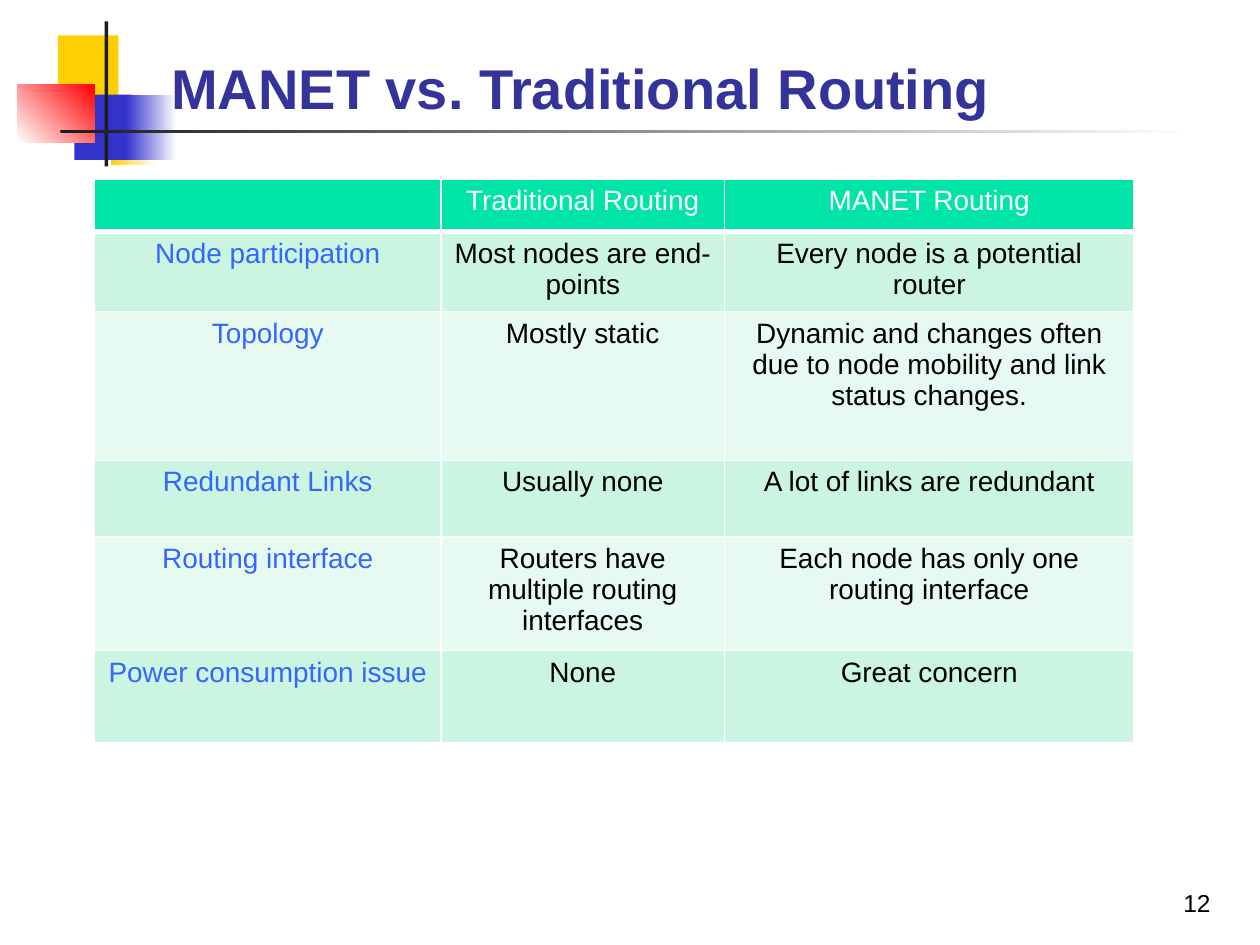
from lxml.etree import SubElement
from pptx import Presentation
from pptx.dml.color import RGBColor
from pptx.enum.shapes import MSO_SHAPE
from pptx.enum.text import MSO_ANCHOR, PP_ALIGN
from pptx.oxml.ns import qn
from pptx.util import Inches, Pt

COLORS = {
    "yellow": "FFCF01", "blue": "3333CC", "red": "FF0000", "white": "FFFFFF",
    "charcoal": "1C1C1C", "title": "333399", "header": "00E4A8",
    "band_dark": "CCF5E1", "band_light": "E7FAF1", "topic": "3366FF",
    "black": "000000",
}
ORNAMENT = [
    (0.46, 0.28, 0.48, 0.52, ["yellow"], 0),
    (0.88, 0.79, 0.36, 0.52, ["yellow", "white"], 0),
    (0.59, 0.75, 0.46, 0.52, ["blue"], 0),
    (1, 0.75, 0.4, 0.52, ["blue", "white"], 0),
    (0.14, 0.67, 0.61, 0.46, ["white", "red"], 45),
    (0.83, 0.17, 0.03, 1.15, ["charcoal"], 0),
    (0.48, 1.03, 9, 0.03, ["charcoal", "white"], 0),
]
COMPARISON = [
    ("", "Traditional Routing", "MANET Routing"),
    ("Node participation", "Most nodes are end-points", "Every node is a potential router"),
    ("Topology", "Mostly static",
     "Dynamic and changes often due to node mobility and link status changes."),
    ("Redundant Links", "Usually none", "A lot of links are redundant"),
    ("Routing interface", "Routers have multiple routing interfaces",
     "Each node has only one routing interface"),
    ("Power consumption issue", "None", "Great concern"),
]
COLUMN_WIDTHS = [2.75, 2.25, 3.25]
ROW_HEIGHTS = [0.42, 0.63, 1.18, 0.61, 0.9, 0.73]


def rgb(name):
    """Return the named colour."""
    return RGBColor.from_string(COLORS[name])


def style_text(paragraph, size, color, align, bold=False):
    """Set the font and alignment of a paragraph."""
    paragraph.alignment = align
    font = paragraph.font
    font.name, font.size, font.bold = "Arial", Pt(size), bold
    font.color.rgb = rgb(color)


def add_block(slide, left, top, width, height, colors, angle):
    """Add a borderless rectangle with a solid or two-colour gradient fill."""
    block = slide.shapes.add_shape(
        MSO_SHAPE.RECTANGLE, Inches(left), Inches(top), Inches(width), Inches(height))
    block.shadow.inherit = False
    block.line.fill.background()
    if len(colors) == 1:
        block.fill.solid()
        block.fill.fore_color.rgb = rgb(colors[0])
        return
    block.fill.gradient()
    block.fill.gradient_angle = angle
    for stop, color in zip(block.fill.gradient_stops, colors):
        stop.color.rgb = rgb(color)


def add_label(slide, text, left, top, width, height, size, color, align, anchor, bold=False):
    """Add a wrapped one-paragraph text box."""
    frame = slide.shapes.add_textbox(
        Inches(left), Inches(top), Inches(width), Inches(height)).text_frame
    frame.word_wrap = True
    frame.vertical_anchor = anchor
    frame.text = text
    style_text(frame.paragraphs[0], size, color, align, bold)


def set_borders(cell, bottom_width):
    """Draw white borders around a cell."""
    properties = cell._tc.get_or_add_tcPr()
    for side, width in (("L", 1), ("R", 1), ("T", 1), ("B", bottom_width)):
        border = SubElement(properties, qn(f"a:ln{side}"), w=str(Pt(width)))
        fill = SubElement(border, qn("a:solidFill"))
        SubElement(fill, qn("a:srgbClr"), val=COLORS["white"])


def cell_colors(row, column):
    """Return the fill and text colour names for a table position."""
    if row == 0:
        return "header", "white"
    return ("band_dark" if row % 2 else "band_light",
            "black" if column else "topic")


def add_comparison(slide):
    """Add the routing comparison table."""
    comparison = slide.shapes.add_table(
        len(ROW_HEIGHTS), len(COLUMN_WIDTHS), Inches(0.75), Inches(1.42),
        Inches(sum(COLUMN_WIDTHS)), Inches(sum(ROW_HEIGHTS))).table
    for column, width in zip(comparison.columns, COLUMN_WIDTHS):
        column.width = Inches(width)
    for row, height in zip(comparison.rows, ROW_HEIGHTS):
        row.height = Inches(height)
    for r, entries in enumerate(COMPARISON):
        for c, entry in enumerate(entries):
            cell = comparison.cell(r, c)
            fill, text_color = cell_colors(r, c)
            set_borders(cell, 1 if r else 3)
            cell.fill.solid()
            cell.fill.fore_color.rgb = rgb(fill)
            cell.text = entry
            style_text(cell.text_frame.paragraphs[0], 16, text_color, PP_ALIGN.CENTER)


def main():
    """Build and save the slide."""
    deck = Presentation()
    deck.slide_width, deck.slide_height = Inches(10), Inches(7.5)
    slide = deck.slides.add_slide(deck.slide_layouts[6])
    for block in ORNAMENT:
        add_block(slide, *block)
    add_label(slide, "MANET vs. Traditional Routing", 1.26, 0.18, 8.52, 0.83,
              32, "title", PP_ALIGN.LEFT, MSO_ANCHOR.BOTTOM, bold=True)
    add_comparison(slide)
    add_label(slide, "12", 9, 7, 1, 0.5, 14, "black", PP_ALIGN.CENTER, MSO_ANCHOR.TOP)
    deck.save("out.pptx")


if __name__ == "__main__":
    main()
